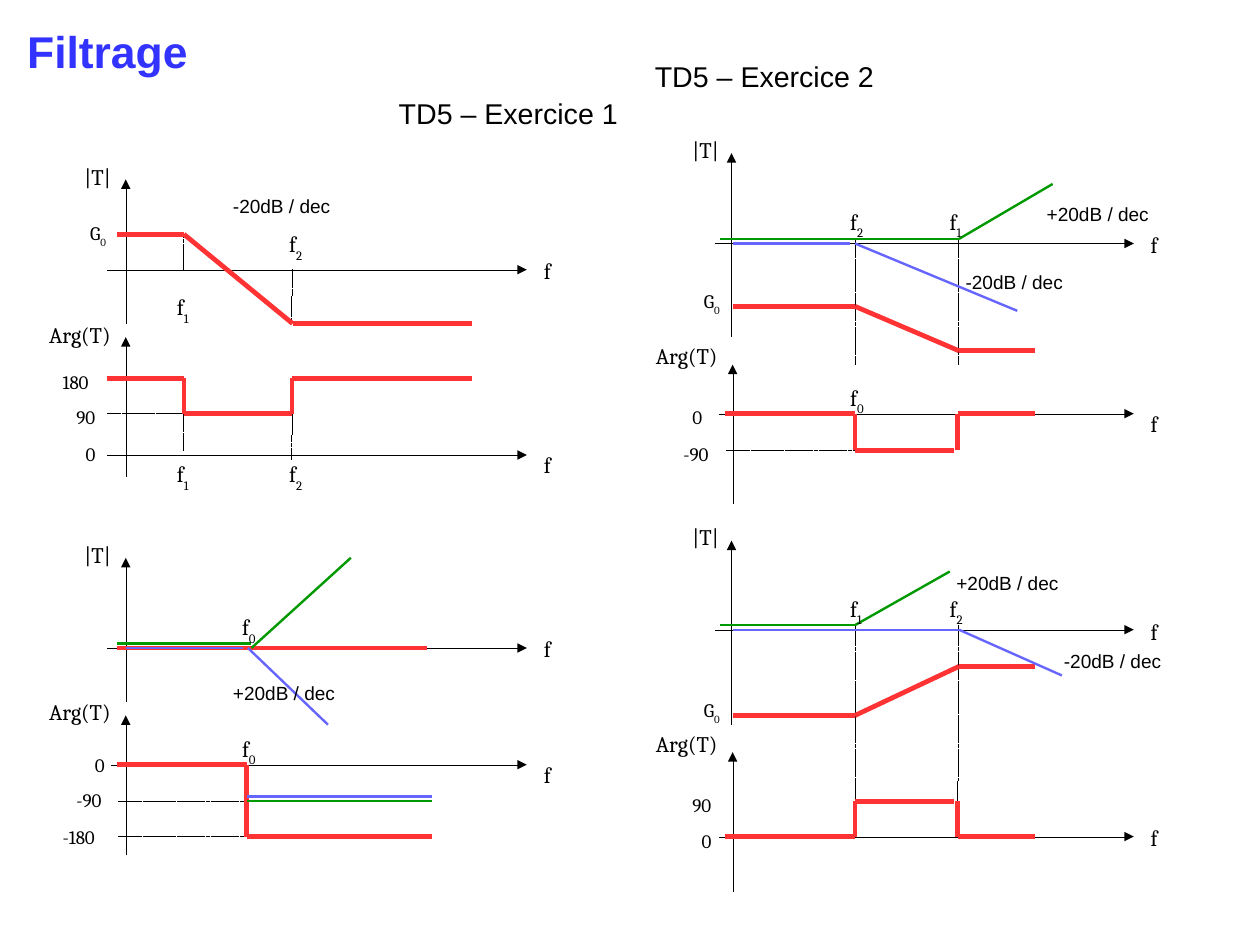
import lxml.etree
import pptx
import pptx.dml.color
import pptx.enum.dml
import pptx.enum.shapes
import pptx.oxml.ns
import pptx.util

COLOURS = {
    "ink": "000000",
    "title": "3333FF",
    "total": "FF3333",
    "zero": "009900",
    "pole": "6666FF",
}

HAIRLINE = 0.01

AXES = [
    # left, right, level, upright, bottom, top, label, label x, label y, f offset
    (67.7, 331.9, 169.9, 79.2, 203.8, 113, "|T|", 46.1, 99.4, -11.5),
    (67.7, 331.9, 286.6, 79.2, 300.2, 212.4, "Arg(T)", 23.8, 198.7, -5.8),
    (67.7, 331.9, 408.2, 79.2, 442.1, 351.4, "|T|", 46.1, 337.7, -11.5),
    (69.8, 331.9, 481.7, 79.2, 538.6, 450.7, "Arg(T)", 23.8, 436.3, -5.8),
    (450.7, 714.2, 153.4, 460.8, 212.4, 96.5, "|T|", 429.1, 82.1, -11.5),
    (452.9, 714.2, 260.6, 461.5, 317.5, 229.7, "Arg(T)", 406.1, 212.4, -5.8),
    (450.7, 714.2, 396.7, 460.8, 456.5, 340.6, "|T|", 429.1, 326.2, -11),
    (452.9, 714.2, 527, 461.5, 561.6, 473.8, "Arg(T)", 406.1, 456.5, -11),
]

GUIDES = [
    ((115.9, 147.6), (115.9, 169.9)),
    ((184.3, 169.9), (183.6, 201.6)),
    ((115.9, 260.6), (115.9, 283.7)),
    ((184.3, 257.8), (183.6, 289.4)),
    ((115.9, 260.6), (67.7, 260.6)),
    ((74.9, 504.7), (156.2, 504.7)),
    ((74.9, 527), (156.2, 527)),
    ((538.6, 229.7), (538.6, 150.5)),
    ((604.1, 229.7), (604.1, 150.5)),
    ((457.9, 283.7), (538.6, 283.7)),
    ((538.6, 504.7), (538.6, 393.8)),
    ((603.4, 504.7), (604.1, 393.8)),
]

CURVES = [
    ("total", [(73.4, 147.6), (115.9, 147.6), (184.3, 203.8), (297.4, 203.8)]),
    ("total", [(67.7, 238.3), (115.9, 238.3), (115.9, 260.6),
               (183.9, 260.6), (183.9, 238.3), (297.4, 238.3)]),
    ("total", [(73.4, 408.2), (269.3, 408.2)]),
    ("total", [(73.4, 481.7), (155.5, 481.7), (155.5, 504.7),
               (155.5, 527), (272.2, 527)]),
    ("zero", [(158.4, 408.2), (221, 351.4)]),
    ("pole", [(79.2, 408.2), (153.4, 408.2)]),
    ("pole", [(156.2, 408.2), (206.6, 456.5)]),
    ("zero", [(73.4, 405.4), (158.4, 405.4)]),
    ("pole", [(155.5, 501.8), (272.2, 501.8)]),
    ("zero", [(155.5, 504.7), (272.2, 504.7)]),
    ("total", [(461.5, 193), (538.6, 193), (604.1, 221), (652.3, 221)]),
    ("total", [(456.5, 260.6), (538.6, 260.6), (538.6, 283.7), (601.2, 283.7)]),
    ("total", [(603.4, 283.7), (603.4, 260.6), (652.3, 260.6)]),
    ("pole", [(461.5, 153.4), (535.7, 153.4)]),
    ("pole", [(538.6, 153.4), (640.8, 195.8)]),
    ("zero", [(453.6, 150.5), (604.1, 150.5), (663.1, 115.9)]),
    ("total", [(461.5, 450.7), (538.6, 450.7), (604.1, 419.8), (652.3, 419.8)]),
    ("total", [(456.5, 527), (538.6, 527), (538.6, 504.7), (601.2, 504.7)]),
    ("total", [(603.4, 504.7), (603.4, 527), (652.3, 527)]),
    ("pole", [(461.5, 396.7), (604.1, 396.7), (668.9, 425.5)]),
    ("zero", [(453.6, 393.8), (538.6, 393.8), (598.3, 360)]),
]

FREQUENCIES = [
    ("1", 104.4, 181.4), ("2", 175, 141.8), ("1", 104.4, 286.6),
    ("2", 175, 286.6), ("0", 145.4, 459.4), ("0", 145.4, 383),
    ("0", 528.5, 238.3), ("2", 528.5, 127.4), ("1", 591.1, 127.4),
    ("1", 528.5, 371.5), ("2", 591.1, 371.5),
]

GAINS = [(49.7, 136.1, 33.8), (436.3, 178.6, 23.8), (436.3, 436.3, 23.8)]

GRADUATIONS = [
    ("180", 32.4, 229.7), ("90", 41, 252), ("0", 46.8, 275),
    ("0", 52.6, 470.9), ("-90", 41, 493.2), ("-180", 32.4, 516.2),
    ("0", 429.1, 252), ("-90", 423.4, 275),
    ("90", 429.1, 496.1), ("0", 434.9, 519.1),
]

SLOPES = [
    ("-20dB / dec", 139.7, 118.8), ("+20dB / dec", 139.7, 425.5),
    ("-20dB / dec", 601.2, 167), ("+20dB / dec", 652.3, 123.8),
    ("-20dB / dec", 663.1, 405.4), ("+20dB / dec", 595.4, 356.4),
]


def add_text(slide, text, x, y, width, height=33.8, size=14, font="Cambria",
             colour="ink", bold=False, subscript=""):
    box = slide.shapes.add_textbox(*map(pptx.util.Pt, (x, y, width, height)))
    box.text_frame.word_wrap = True
    paragraph = box.text_frame.paragraphs[0]
    for part in filter(None, (text, subscript)):
        run = paragraph.add_run()
        run.text = part
        run.font.size = pptx.util.Pt(size)
        run.font.name = font
        run.font.bold = bold
        run.font.color.rgb = pptx.dml.color.RGBColor.from_string(COLOURS[colour])
    if subscript:
        run._r.get_or_add_rPr().set("baseline", "-33000")


def add_line(slide, start, end, colour="ink", width=HAIRLINE, dashed=False,
             arrow=False):
    line = slide.shapes.add_connector(
        pptx.enum.shapes.MSO_CONNECTOR.STRAIGHT,
        *map(pptx.util.Pt, (*start, *end)))
    line.line.color.rgb = pptx.dml.color.RGBColor.from_string(COLOURS[colour])
    line.line.width = pptx.util.Pt(width)
    if dashed:
        line.line.dash_style = pptx.enum.dml.MSO_LINE.SQUARE_DOT
    qn = pptx.oxml.ns.qn
    properties = line._element.spPr
    if arrow:
        outline = properties.find(qn("a:ln"))
        lxml.etree.SubElement(outline, qn("a:tailEnd"), type="triangle")
    lxml.etree.SubElement(properties, qn("a:effectLst"))


def add_axes(slide, left, right, level, upright, bottom, top,
             label, label_x, label_y, f_offset):
    add_line(slide, (left, level), (right, level), arrow=True)
    add_line(slide, (upright, bottom), (upright, top), arrow=True)
    add_text(slide, label, label_x, label_y, 58 if label == "Arg(T)" else 34)
    add_text(slide, "f", right + 3.6, level + f_offset, 23)


def add_curve(slide, role, points):
    width = 3 if role == "total" else 1.5
    for start, end in zip(points, points[1:]):
        add_line(slide, start, end, colour=role, width=width)


def main():
    deck = pptx.Presentation()
    deck.slide_width = pptx.util.Pt(793.7)
    deck.slide_height = pptx.util.Pt(595.28)
    slide = deck.slides.add_slide(deck.slide_layouts[6])
    for axes in AXES:
        add_axes(slide, *axes)
    for start, end in GUIDES:
        add_line(slide, start, end, dashed=True)
    for role, points in CURVES:
        add_curve(slide, role, points)
    for index, x, y in FREQUENCIES:
        add_text(slide, "f", x, y, 25, subscript=index)
    for x, y, height in GAINS:
        add_text(slide, "G", x, y, 29, height=height, size=12, subscript="0")
    for value, x, y in GRADUATIONS:
        add_text(slide, value, x, y, 18 + 6 * len(value), size=12)
    for slope, x, y in SLOPES:
        add_text(slide, slope, x, y, 80, height=21, size=12, font="Arial")
    for heading, x, y in [("TD5 – Exercice 1", 244.1, 56.9),
                          ("TD5 – Exercice 2", 405.4, 33.8)]:
        add_text(slide, heading, x, y, 294.5, height=67.7, size=18, font="Arial")
    add_text(slide, "Filtrage", 10.1, 11.5, 185, height=69.8, size=28,
             font="Arial", colour="title", bold=True)
    deck.save("out.pptx")


if __name__ == "__main__":
    main()
